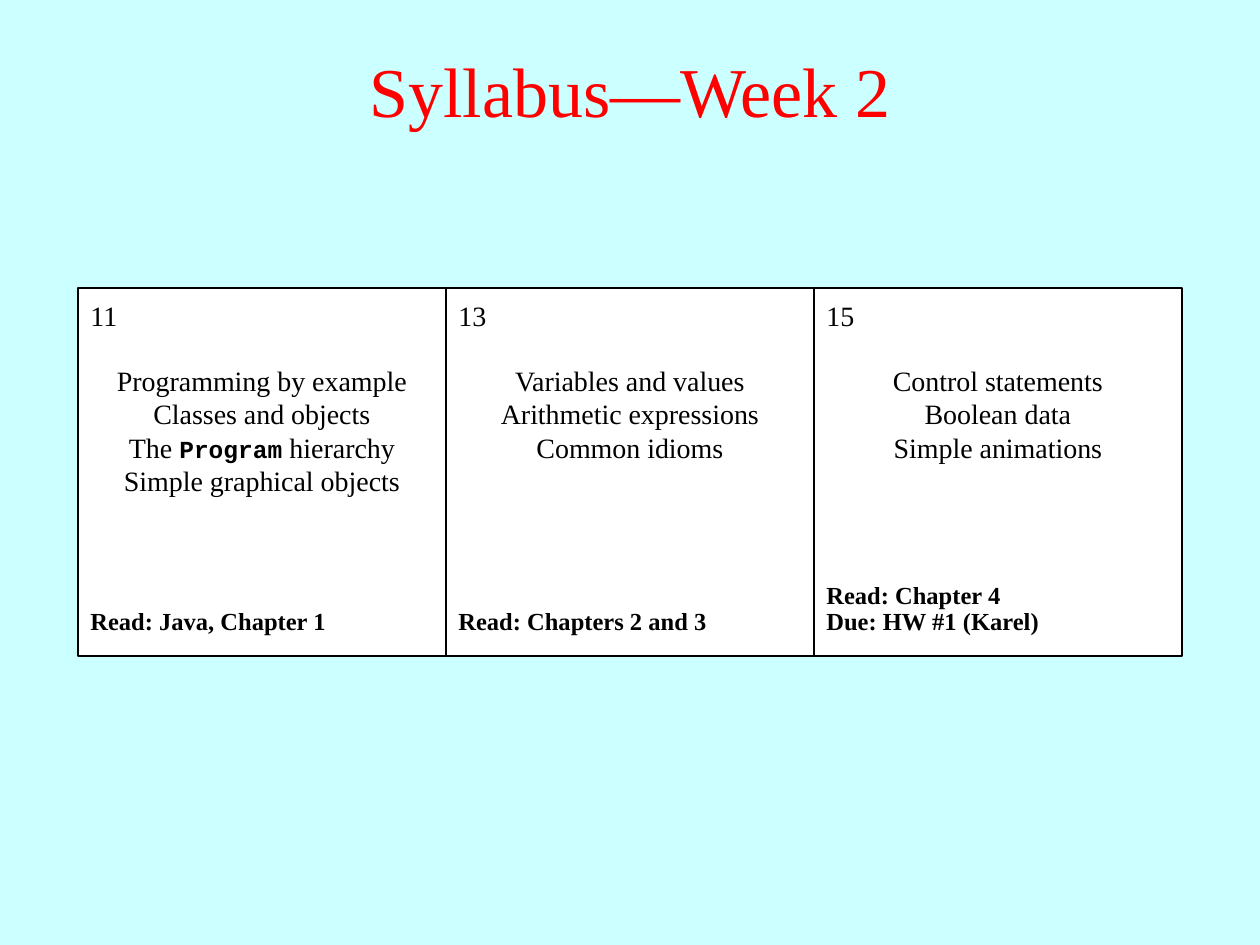
from pptx import Presentation
from pptx.dml.color import RGBColor
from pptx.enum.shapes import MSO_SHAPE
from pptx.enum.text import MSO_ANCHOR, PP_ALIGN
from pptx.util import Emu, Pt

RECTANGLE = MSO_SHAPE.RECTANGLE
TOP, MIDDLE, BOTTOM = MSO_ANCHOR.TOP, MSO_ANCHOR.MIDDLE, MSO_ANCHOR.BOTTOM
LEFT, CENTER = PP_ALIGN.LEFT, PP_ALIGN.CENTER

PX_PER_INCH = 126
TITLE_ONLY = 5
BODY_FONT, CODE_FONT = "Times New Roman", "Courier New"
COLORS = {"background": "CCFFFF", "title": "FF0000", "day": "FFFFFF", "ink": "000000"}

DAY_SIZE = 368
WEEK_LEFT, WEEK_TOP = 78, 288
DAYS = [
    (
        "11",
        ["Programming by example", "Classes and objects",
         "The `Program` hierarchy", "Simple graphical objects"],
        ["Read: Java, Chapter 1"],
    ),
    (
        "13",
        ["Variables and values", "Arithmetic expressions", "Common idioms"],
        ["Read: Chapters 2 and 3"],
    ),
    (
        "15",
        ["Control statements", "Boolean data", "Simple animations"],
        ["Read: Chapter 4", "Due: HW #1 (Karel)"],
    ),
]


def px(length):
    return Emu(round(length * 914400 / PX_PER_INCH))


def color(name):
    return RGBColor.from_string(COLORS[name])


def format_run(run, size, ink="ink", bold=False, font=BODY_FONT):
    run.font.name = font
    run.font.size = Pt(size)
    run.font.bold = bold
    run.font.color.rgb = color(ink)


def add_title(slide, left, top, width, height):
    title = slide.shapes.title
    title.left, title.top, title.width, title.height = map(px, (left, top, width, height))
    frame = title.text_frame
    frame.text = "Syllabus—Week 2"
    frame.vertical_anchor = MIDDLE
    heading = frame.paragraphs[0]
    heading.alignment = CENTER
    format_run(heading.runs[0], 40, "title")


def add_lines(group, lines, left, top, width, height, size=16,
              align=LEFT, anchor=TOP, bold=False, spacing=1.0):
    frame = group.shapes.add_textbox(*map(px, (left, top, width, height))).text_frame
    frame.word_wrap = True
    frame.vertical_anchor = anchor
    frame.text = "\n".join(lines)
    for paragraph, line in zip(frame.paragraphs, lines):
        paragraph.alignment = align
        paragraph.line_spacing = spacing
        pieces = line.split("`")
        paragraph.runs[0].text = pieces[0]
        format_run(paragraph.runs[0], size, bold=bold)
        for position, piece in enumerate(pieces[1:], 1):
            run = paragraph.add_run()
            run.text = piece
            if position % 2:
                format_run(run, size - 2, bold=True, font=CODE_FONT)
            else:
                format_run(run, size, bold=bold)


def add_day(slide, left, top, size, date, topics, tasks):
    day = slide.shapes.add_group_shape()
    square = day.shapes.add_shape(RECTANGLE, *map(px, (left, top, size, size)))
    square.shadow.inherit = False
    square.fill.solid()
    square.fill.fore_color.rgb = color("day")
    square.line.color.rgb = color("ink")
    square.line.width = Pt(0.75)
    add_lines(day, [date], left, top + 4, size, 47)
    add_lines(day, topics, left, top + 69, size, 13 + 34 * len(topics), align=CENTER)
    add_lines(day, tasks, left, top + 287, size, 67, size=14,
              anchor=BOTTOM, bold=True, spacing=0.9)


def main():
    deck = Presentation()
    deck.slide_width, deck.slide_height = px(1260), px(945)
    slide = deck.slides.add_slide(deck.slide_layouts[TITLE_ONLY])
    slide.background.fill.solid()
    slide.background.fill.fore_color.rgb = color("background")
    add_title(slide, 0, 10, 1260, 158)
    for column, (date, topics, tasks) in enumerate(DAYS):
        add_day(slide, WEEK_LEFT + column * DAY_SIZE, WEEK_TOP, DAY_SIZE, date, topics, tasks)
    deck.save("out.pptx")


if __name__ == "__main__":
    main()
